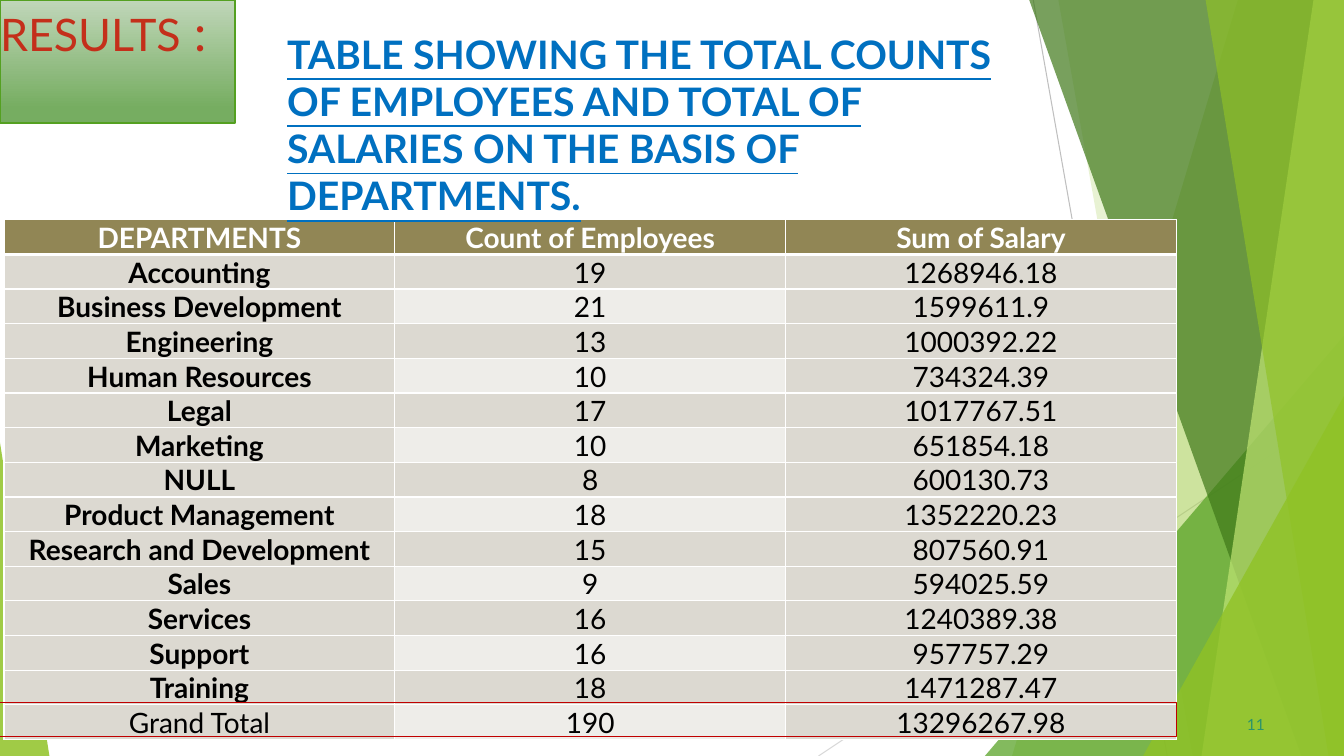
from lxml import etree
from pptx import Presentation
from pptx.dml.color import RGBColor as RGB
from pptx.enum.shapes import MSO_CONNECTOR as Connector, MSO_SHAPE as Preset
from pptx.enum.text import MSO_ANCHOR as Anchor, MSO_AUTO_SIZE as AutoSize, PP_ALIGN as Align
from pptx.oxml.ns import qn
from pptx.util import Inches, Pt

THEME = {
    "font": "Lato",
    "lime": "90C226", "pale": "C0E474", "green": "54A021", "forest": "3F7819",
    "badge_top": "C0D6B9", "badge_bottom": "76AD61", "badge_text": "C42F1A",
    "heading": "0070C0", "number": "2D936B", "outline": "C00000",
    "header": "918655", "band": "DCD9D1", "light": "EEEDE9",
    "white": "FFFFFF", "black": "000000",
    "badge_pt": 32, "colon_pt": 36, "heading_pt": 28, "table_pt": 20, "number_pt": 11,
}

deck = Presentation()
deck.slide_width, deck.slide_height = Inches(13.33), Inches(7.5)
slide = deck.slides.add_slide(deck.slide_layouts[5])
shapes = slide.shapes


def place(*percents):
    """Turn alternating x, y percentages of the slide into lengths."""
    sides = (deck.slide_width, deck.slide_height)
    return [round(sides[i % 2] * share / 100) for i, share in enumerate(percents)]


def style(paragraph, size, color, bold=False):
    font = paragraph.font
    font.name, font.size, font.bold = THEME["font"], Pt(size), bold
    font.color.rgb = RGB.from_string(THEME[color])


# Thin background lines
for ends, gray in [((76.88, 0, 86.85, 100), "BFBFBF"), ((100, 53.73, 60.9, 100), "D9D9D9")]:
    ray = shapes.add_connector(Connector.STRAIGHT, *place(*ends))
    ray.line.color.rgb, ray.line.width = RGB.from_string(gray), Pt(0.75)
    etree.SubElement(ray.element.spPr, qn("a:effectLst"))

# Translucent shards: (top x, bottom x) panels reaching the right edge,
# or (left, top, width, height, apex) triangles
shards = [
    ((92.1, 75.3), "lime", 30),
    ((78.75, 88.73), "lime", 20),
    ((73.28, 44.4, 26.72, 55.6, 1), "green", 72),
    ((76.58, 96.83), "forest", 70),
    ((97.73, 89.4), "pale", 70),
    ((89.7, 98.85), "lime", 65),
    ((85.05, 52.4, 14.95, 47.6, 1), "lime", 80),
    ((0, 58.53, 3.68, 41.47, 0), "lime", 85),
]
for outline, color, opacity in shards:
    if len(outline) == 2:
        top_x, bottom_x = outline
        panel = shapes.build_freeform(*place(top_x, 0))
        panel.add_line_segments([place(100, 0), place(100, 100), place(bottom_x, 100)])
        shard = panel.convert_to_shape()
    else:
        *frame, apex = outline
        shard = shapes.add_shape(Preset.ISOSCELES_TRIANGLE, *place(*frame))
        shard.adjustments[0] = apex
    shard.shadow.inherit = False
    shard.line.fill.background()
    shard.fill.solid()
    shard.fill.fore_color.rgb = RGB.from_string(THEME[color])
    tint = shard.element.spPr.find(qn("a:solidFill"))[0]
    etree.SubElement(tint, qn("a:alpha"), val=str(opacity * 1000))

# Results badge, the slide's title
badge = shapes.title
badge.left, badge.top, badge.width, badge.height = place(0, 0, 17.5, 16.27)
badge.fill.gradient()
badge.fill.gradient_angle = 270
for stop, color, position in zip(badge.fill.gradient_stops, ("badge_top", "badge_bottom"), (0, 0.88)):
    stop.color.rgb, stop.position = RGB.from_string(THEME[color]), position
badge.line.color.rgb, badge.line.width = RGB.from_string(THEME["green"]), Pt(1)
badge_text = badge.text_frame
badge_text.auto_size, badge_text.vertical_anchor = AutoSize.NONE, Anchor.TOP
badge_text.margin_left = badge_text.margin_right = badge_text.margin_bottom = 0
badge_text.margin_top = Inches(0.01)
results = badge_text.paragraphs[0]
results.alignment, results.space_before = Align.LEFT, Pt(1.1)
style(results, THEME["badge_pt"], "badge_text")
results.add_run().text = "RESULTS"
colon = results.add_run()
colon.text, colon.font.size = " :", Pt(THEME["colon_pt"])

# Slide number
number = shapes.add_textbox(*place(92.48, 94.4, 1.88, 2.8)).text_frame
number.word_wrap = True
number.margin_left, number.margin_top = Inches(0.04), Inches(0.01)
number.margin_right = number.margin_bottom = 0
number.text = "11"
number.paragraphs[0].space_before = Pt(0.6)
style(number.paragraphs[0], THEME["number_pt"], "number")

# Department table
records = [
    ("DEPARTMENTS", "Count of Employees", "Sum of Salary"),
    ("Accounting", "19", "1268946.18"),
    ("Business Development", "21", "1599611.9"),
    ("Engineering", "13", "1000392.22"),
    ("Human Resources", "10", "734324.39"),
    ("Legal", "17", "1017767.51"),
    ("Marketing", "10", "651854.18"),
    ("NULL", "8", "600130.73"),
    ("Product Management", "18", "1352220.23"),
    ("Research and Development", "15", "807560.91"),
    ("Sales", "9", "594025.59"),
    ("Services", "16", "1240389.38"),
    ("Support", "16", "957757.29"),
    ("Training", "18", "1471287.47"),
    ("Grand Total", "190", "13296267.98"),
]
departments = shapes.add_table(len(records), 3, *place(0.3, 29.07, 87.23, 68)).table
for r, record in enumerate(records):
    for c, entry in enumerate(record):
        cell = departments.cell(r, c)
        cell.text, cell.vertical_anchor = entry, Anchor.BOTTOM
        cell.margin_left = cell.margin_top = cell.margin_right = Inches(0.01)
        cell.margin_bottom = 0
        line = cell.text_frame.paragraphs[0]
        line.alignment = Align.CENTER
        is_header = r == 0
        bold = is_header or (c == 0 and entry != "Grand Total")
        style(line, THEME["table_pt"], "white" if is_header else "black", bold)
        is_light = c == 1 and r % 2 == 0
        shade = "header" if is_header else "light" if is_light else "band"
        cell.fill.solid()
        cell.fill.fore_color.rgb = RGB.from_string(THEME[shade])
        # White borders, thicker around the header's lower edge
        properties = cell._tc.get_or_add_tcPr()
        for i, side in enumerate(("lnL", "lnR", "lnT", "lnB")):
            thick = (r, side) in ((0, "lnB"), (1, "lnT"))
            border = etree.Element(qn("a:" + side), w=str(Pt(3 if thick else 1)))
            ink = etree.SubElement(border, qn("a:solidFill"))
            etree.SubElement(ink, qn("a:srgbClr"), val=THEME["white"])
            properties.insert(i, border)

# Table heading
heading = shapes.add_textbox(*place(20.63, 3.33, 55.28, 26.53)).text_frame
heading.word_wrap = True
heading.text = ("TABLE SHOWING THE TOTAL COUNTS OF EMPLOYEES AND TOTAL OF "
                "SALARIES ON THE BASIS OF DEPARTMENTS.")
style(heading.paragraphs[0], THEME["heading_pt"], "heading", True)
heading.paragraphs[0].font.underline = True

# Outline around the grand total
total = shapes.add_shape(Preset.RECTANGLE, *place(0, 92.93, 87.53, 4.53))
total.shadow.inherit = False
total.fill.background()
total.line.color.rgb, total.line.width = RGB.from_string(THEME["outline"]), Pt(0.75)

deck.save("out.pptx")
